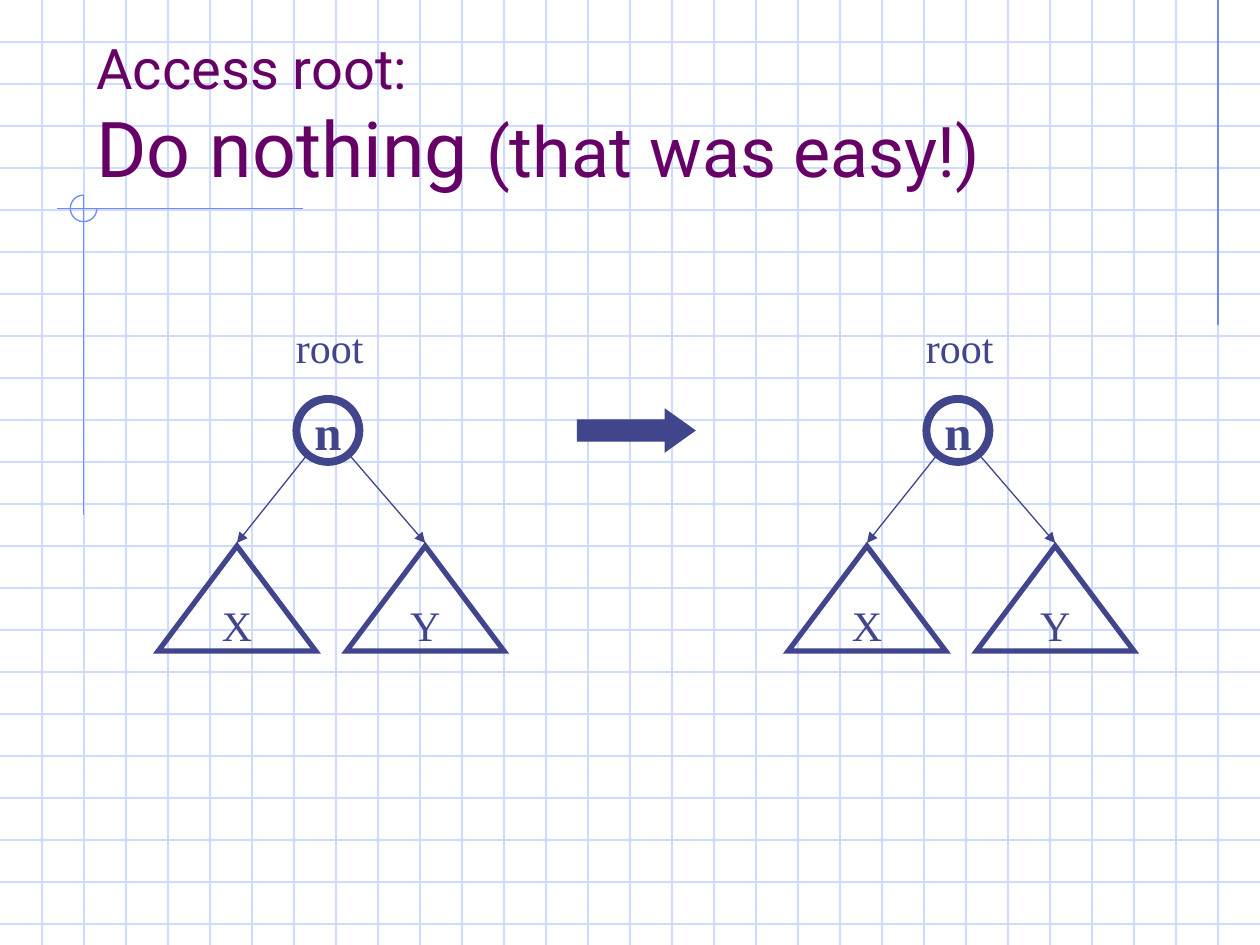
from pptx import Presentation
from pptx.dml.color import RGBColor
from pptx.enum.shapes import MSO_CONNECTOR, MSO_SHAPE
from pptx.enum.text import MSO_ANCHOR, MSO_AUTO_SIZE, PP_ALIGN
from pptx.oxml.ns import qn
from pptx.util import Pt
from lxml.etree import SubElement

WIDTH, HEIGHT, STEP = 720, 540, 24
COLORS = {"grid": "CFDBFD", "accent": "6F89F7", "title": "660066", "ink": "40458C"}


class Deck:
    """Holds the style and the current slide, and draws each kind of element in points."""

    serif, sans = "Times New Roman", "Roboto"

    def __init__(self, prs):
        self.s = prs.slides.add_slide(prs.slide_layouts[6])

    def color(self, name):
        return RGBColor.from_string(COLORS[name])

    def font(self, r, size, color="ink", name=serif, bold=False):
        r.font.size, r.font.name, r.font.bold = Pt(size), name, bold
        r.font.color.rgb = self.color(color)

    def line(self, x1, y1, x2, y2, color, arrow=False):
        c = self.s.shapes.add_connector(MSO_CONNECTOR.STRAIGHT, Pt(x1), Pt(y1), Pt(x2), Pt(y2))
        c.line.color.rgb, c.line.width = self.color(color), Pt(0.75)
        if arrow:
            SubElement(c.line._get_or_add_ln(), qn("a:tailEnd"), type="triangle")
        SubElement(c._element.spPr, qn("a:effectLst"))

    def shape(self, kind, x, y, w, h, color="ink", weight=0.75, filled=False, adj=()):
        sp = self.s.shapes.add_shape(kind, Pt(x), Pt(y), Pt(w), Pt(h))
        sp.shadow.inherit = False
        for i, value in enumerate(adj):
            sp.adjustments[i] = value
        if filled:
            sp.fill.solid()
            sp.fill.fore_color.rgb = self.color(color)
        else:
            sp.fill.background()
        sp.line.color.rgb, sp.line.width = self.color(color), Pt(weight)
        SubElement(sp.line._get_or_add_ln(), qn("a:miter"), lim="800000")
        return sp

    def label(self, sp, text, size, bold=False):
        tf = sp.text_frame
        tf.text, tf.word_wrap = text, False
        tf.vertical_anchor = MSO_ANCHOR.MIDDLE
        p = tf.paragraphs[0]
        p.alignment = PP_ALIGN.CENTER
        self.font(p.runs[0], size, bold=bold)

    def text(self, text, x, y, w, h, size):
        tf = self.s.shapes.add_textbox(Pt(x), Pt(y), Pt(w), Pt(h)).text_frame
        tf.text, tf.word_wrap = text, False
        tf.auto_size = MSO_AUTO_SIZE.SHAPE_TO_FIT_TEXT
        self.font(tf.paragraphs[0].runs[0], size)

    def title(self, lead, parts, x, y, w, h):
        tf = self.s.shapes.add_textbox(Pt(x), Pt(y), Pt(w), Pt(h)).text_frame
        tf.word_wrap, tf.vertical_anchor = True, MSO_ANCHOR.BOTTOM
        p = tf.paragraphs[0]
        p.text = lead[0] + "\v"
        for text, _ in parts:
            p.add_run().text = text
        for r, (_, size) in zip(p.runs, [lead, *parts]):
            self.font(r, size, "title", self.sans)

    def background(self):
        for y in range(STEP, HEIGHT, STEP):
            self.line(0, y, WIDTH, y, "grid")
        for x in range(STEP, WIDTH, STEP):
            self.line(x, 0, x, HEIGHT, "grid")
        self.line(696, 0, 696, 186, "accent")
        self.line(173, 119.2, 32.6, 119.2, "accent")
        self.line(47.8, 111.5, 47.8, 294.5, "accent")
        self.shape(MSO_SHAPE.ARC, 40.2, 111.5, 15.2, 15.2, "accent", adj=(0, 162))

    def tree(self, x):
        self.text("root", x + 162, 180, 52.8, 36, 24)
        node = self.shape(MSO_SHAPE.OVAL, x + 169.4, 228, 36, 36, weight=4.5)
        self.label(node, "n", 28, bold=True)
        for name, start, apex in (("X", 175, 135.4), ("Y", 200.2, 243)):
            self.line(x + start, 260.6, x + apex, 310.3, "ink", arrow=True)
            subtree = self.shape(MSO_SHAPE.ISOSCELES_TRIANGLE, x + apex - 45, 312, 90, 60, weight=3)
            self.label(subtree, name, 24)


def main():
    prs = Presentation()
    prs.slide_width, prs.slide_height = Pt(WIDTH), Pt(HEIGHT)
    deck = Deck(prs)
    deck.background()
    deck.title(("Access root:", 32), [("Do nothing", 44), (" (that was easy!)", 40)], 48, 24, 612, 90)
    for x in (0, 360):
        deck.tree(x)
    deck.shape(MSO_SHAPE.RIGHT_ARROW, 330, 234, 67, 24, filled=True, adj=(0.5, 0.7))
    prs.save("out.pptx")


if __name__ == "__main__":
    main()
